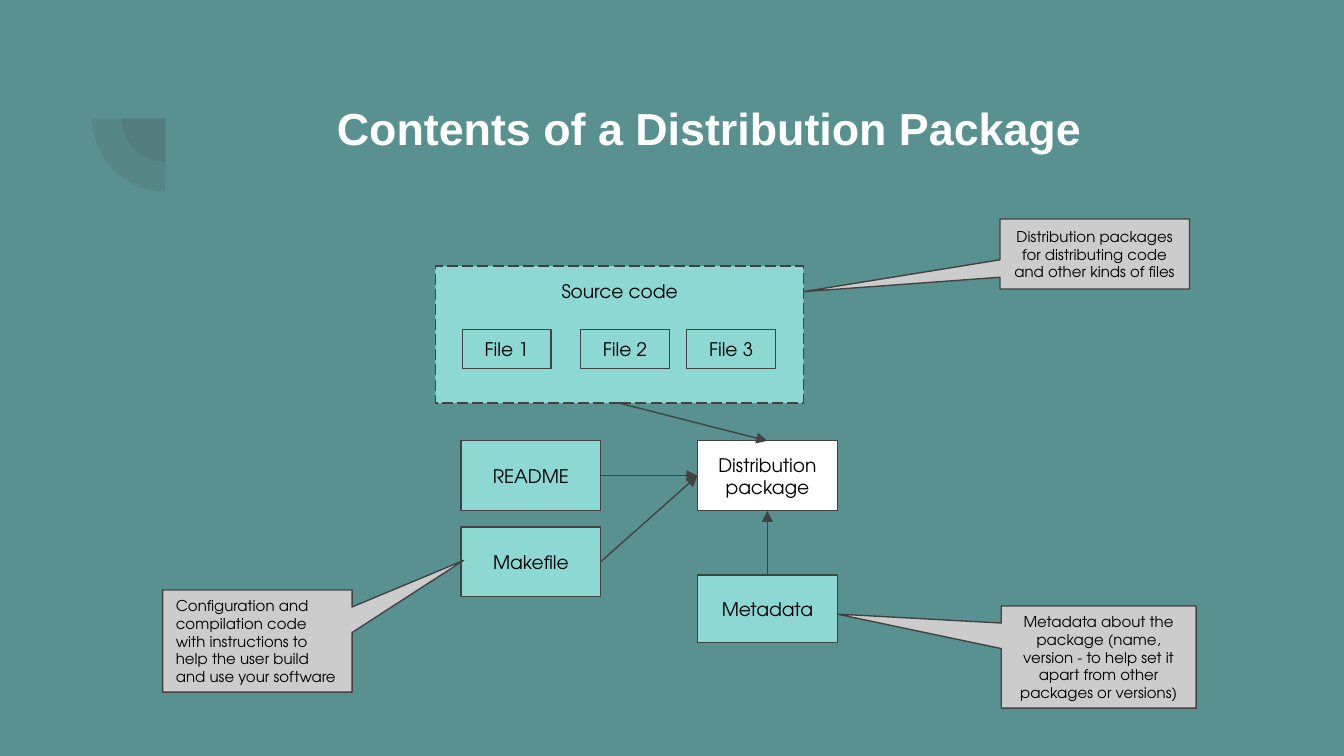
import pptx
import pptx.util
import pptx.dml.color
import pptx.enum.dml
import pptx.enum.shapes
import pptx.enum.text
import pptx.oxml
import pptx.oxml.ns

Inches = pptx.util.Inches
Pt = pptx.util.Pt
SHAPE = pptx.enum.shapes.MSO_SHAPE
ALIGN = pptx.enum.text.PP_ALIGN
ANCHOR = pptx.enum.text.MSO_ANCHOR

COLORS = {"back": "599191", "teal": "8DD8D3", "gray": "CCCCCC",
          "dark": "424242", "white": "FFFFFF", "black": "000000"}
BODY = "TeX Gyre Adventor"
TOP, LEFT, BOTTOM, RIGHT = range(4)  # connection sites of a rectangle


def color(name):
    return pptx.dml.color.RGBColor.from_string(COLORS[name])


def add_xml(parent, tag, **attrs):
    node = pptx.oxml.parse_xml(f"<a:{tag} {pptx.oxml.ns.nsdecls('a')}/>")
    for key, value in attrs.items():
        node.set(key, value)
    parent.append(node)


def write(shape, lines, size, font=BODY, ink="black", bold=False,
          align=ALIGN.CENTER, anchor=ANCHOR.MIDDLE):
    frame = shape.text_frame
    frame.word_wrap = True
    frame.vertical_anchor = anchor
    frame.margin_left = frame.margin_right = Inches(0.1)
    frame.margin_top = frame.margin_bottom = Inches(0.1)
    frame.text = lines
    for para in frame.paragraphs:
        para.alignment = align
        para.font.name = font
        para.font.size = Pt(size)
        para.font.bold = bold
        para.font.color.rgb = color(ink)


def add_shape(slide, kind, box, fill):
    shape = slide.shapes.add_shape(kind, *map(Inches, box))
    shape.shadow.inherit = False
    shape.fill.solid()
    shape.fill.fore_color.rgb = color(fill)
    shape.line.color.rgb = color("dark")
    shape.line.width = Pt(0.75)
    return shape


def add_box(slide, box, label, fill="teal", **style):
    shape = add_shape(slide, SHAPE.RECTANGLE, box, fill)
    write(shape, label, 10, **style)
    return shape


def add_arrow(slide, start, out, end, into):
    """Join site `out` of start to site `into` of end."""
    line = slide.shapes.add_connector(
        pptx.enum.shapes.MSO_CONNECTOR.STRAIGHT, 0, 0, 0, 0)
    line.begin_connect(start, out)
    line.end_connect(end, into)
    line.line.color.rgb = color("dark")
    line.line.width = Pt(0.75)
    add_xml(line.line._get_or_add_ln(), "tailEnd", type="triangle")
    add_xml(line._element.spPr, "effectLst")


def add_note(slide, box, tip, label, align=ALIGN.CENTER):
    """Callout whose point touches tip."""
    x, y, w, h = box
    note = add_shape(slide, SHAPE.ROUNDED_RECTANGULAR_CALLOUT, box, "gray")
    note.adjustments[0] = (tip[0] - x - w / 2) / w
    note.adjustments[1] = (tip[1] - y - h / 2) / h
    note.adjustments[2] = 0
    write(note, label, 8, align=align)


def add_mark(slide, x, y):
    """Two faint quarter discs that share the right end of their top edge."""
    for size in (0.65, 1.09):
        pie = add_shape(slide, SHAPE.PIE,
                        (x - size / 2, y - size / 2, size, size), "dark")
        pie.adjustments[0], pie.adjustments[1] = 108, 162
        pie.rotation = 270
        pie.line.fill.background()
        tint = pie.fill._xPr.find(".//" + pptx.oxml.ns.qn("a:srgbClr"))
        add_xml(tint, "alpha", val="13000")


def add_title(slide, box):
    title = slide.shapes.add_textbox(*map(Inches, box))
    write(title, "Contents of a Distribution Package", 24, font="Arial",
          ink="white", bold=True, anchor=ANCHOR.TOP)


def add_source(slide, box):
    x, y, _, _ = box
    source = add_box(slide, box, "Source code", anchor=ANCHOR.TOP)
    source.line.dash_style = pptx.enum.dml.MSO_LINE.LONG_DASH
    for num, dx in enumerate((0.2, 1.08, 1.87), 1):
        add_box(slide, (x + dx, y + 0.47, 0.66, 0.29), f"File {num}")
    return source


def add_diagram(slide, x, y):
    source = add_source(slide, (x, y, 2.74, 1.02))
    col, mid, row = x + 0.19, x + 1.95, y + 1.3
    w, h = 1.04, 0.52
    readme = add_box(slide, (col, row, w, h), "README")
    make = add_box(slide, (col, row + 0.64, w, h), "Makefile")
    meta = add_box(slide, (mid, row + 1, w, 0.5), "Metadata")
    pack = add_box(slide, (mid, row, w, h), "Distribution\npackage", "white")
    add_arrow(slide, source, BOTTOM, pack, TOP)
    add_arrow(slide, readme, RIGHT, pack, LEFT)
    add_arrow(slide, make, RIGHT, pack, LEFT)
    add_arrow(slide, meta, TOP, pack, BOTTOM)


def add_notes(slide):
    add_note(slide, (1.21, 4.39, 1.41, 0.76), (3.45, 4.17),
             "Configuration and compilation code with instructions to help "
             "the user build and use your software", ALIGN.LEFT)
    add_note(slide, (7.44, 1.63, 1.41, 0.52), (5.98, 2.17),
             "Distribution packages for distributing code and other kinds "
             "of files")
    add_note(slide, (7.45, 4.51, 1.45, 0.76), (6.23, 4.57),
             "Metadata about the package (name, version - to help set it "
             "apart from other packages or versions)")


def main():
    deck = pptx.Presentation()
    deck.slide_width = Inches(10)
    deck.slide_height = deck.slide_width * 9 // 16
    slide = deck.slides.add_slide(deck.slide_layouts[6])
    slide.background.fill.solid()
    slide.background.fill.fore_color.rgb = color("back")
    add_mark(slide, 1.23, 0.88)
    add_title(slide, (1.43, 0.65, 7.69, 1.09))
    add_diagram(slide, 3.24, 1.98)
    add_notes(slide)
    deck.save("out.pptx")


if __name__ == "__main__":
    main()
